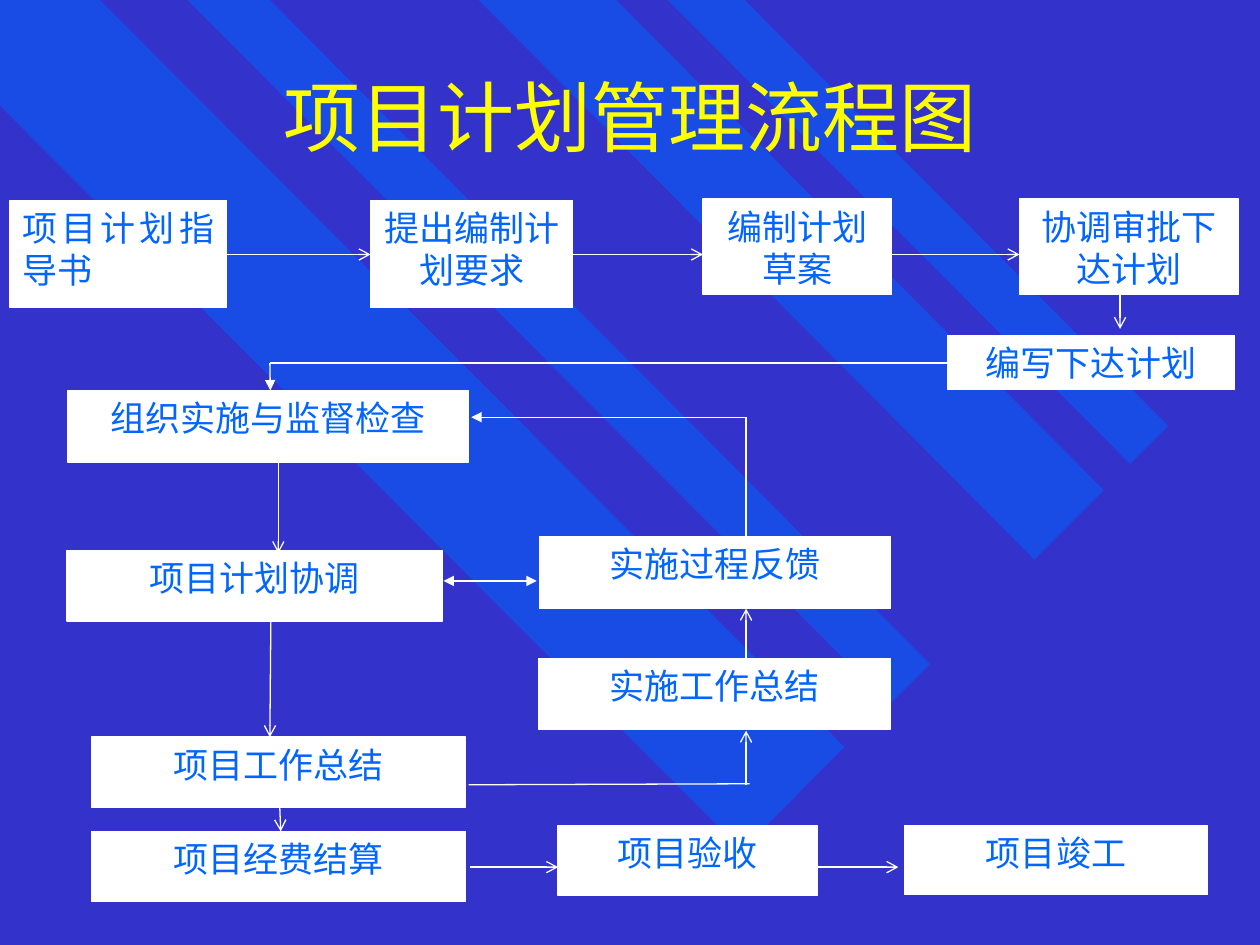
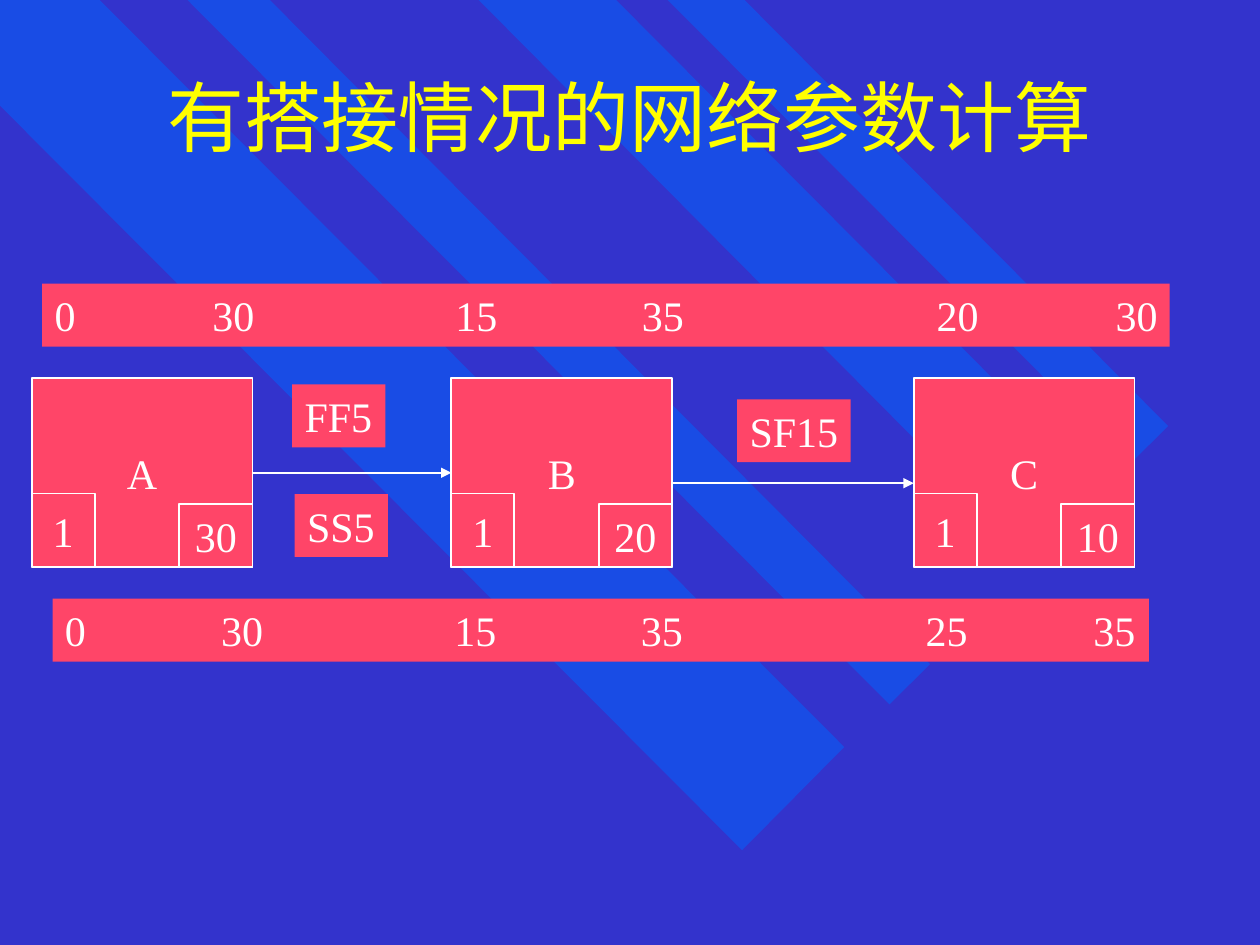
from lxml import etree
from pptx import Presentation
from pptx.dml.color import RGBColor
from pptx.enum.shapes import MSO_CONNECTOR, MSO_SHAPE
from pptx.enum.text import MSO_ANCHOR, PP_ALIGN
from pptx.oxml.ns import qn
from pptx.util import Cm, Pt

# Shared look
FONT = "Times New Roman"
NAVY, BLUE, YELLOW, WHITE, ROSE = "3333CC", "0066FF", "FFFF00", "FFFFFF", "FF4568"
STRIPES = [
    [(17.02, 15.06), (2.01, 0), (0, 0), (0, 2.13), (14.96, 17.14)],
    [(5.44, 0), (18.75, 13.39), (17.93, 14.2), (3.78, 0)],
    [(12.42, 0), (22.25, 9.88), (20.85, 11.28), (9.65, 0)],
    [(13.46, 0), (22.78, 9.35), (23.55, 8.59), (15.01, 0)],
]

# Flow chart: text, left, top, width, height
STEPS = [
    ("项目计划指导书", 0.2, 4.04, 4.37, 2.16),
    ("提出编制计划要求", 7.47, 4.04, 4.08, 2.16),
    ("编制计划草案", 14.17, 4.01, 3.81, 1.93),
    ("协调审批下达计划", 20.55, 4.01, 4.42, 1.93),
    ("编写下达计划", 19.1, 6.76, 5.79, 1.09),
    ("组织实施与监督检查", 1.37, 7.87, 8.08, 1.45),
    ("项目计划协调", 1.35, 11.1, 7.57, 1.42),
    ("实施过程反馈", 10.87, 10.82, 7.09, 1.45),
    ("实施工作总结", 10.85, 13.28, 7.11, 1.42),
    ("项目工作总结", 1.85, 14.86, 7.54, 1.42),
    ("项目经费结算", 1.85, 16.76, 7.54, 1.42),
    ("项目验收", 11.25, 16.64, 5.23, 1.42),
    ("项目竣工", 18.24, 16.64, 6.1, 1.4),
]

# Flow lines by arrowhead: start x, start y, end x, end y
FLOWS = {
    "arrow": [
        (4.57, 5.13, 7.47, 5.13), (11.56, 5.13, 14.17, 5.13),
        (17.93, 5.13, 20.55, 5.13), (22.58, 5.94, 22.58, 6.63),
        (5.61, 9.25, 5.61, 11.15), (5.46, 12.52, 5.44, 14.86),
        (5.64, 16.28, 5.66, 16.76), (9.47, 17.48, 11.25, 17.48),
        (16.48, 17.48, 18.11, 17.48), (15.04, 15.82, 15.04, 14.73),
        (15.04, 13.36, 15.04, 12.27),
    ],
    "triangle": [(5.44, 7.32, 5.45, 7.87), (15.04, 8.41, 9.5, 8.41)],
    None: [
        (19.1, 7.32, 5.44, 7.32), (9.45, 15.82, 15.11, 15.8),
        (15.04, 10.87, 15.04, 8.41),
    ],
}

# Network: name, left edge, duration
ACTIVITIES = [("A", 0.64, "30"), ("B", 9.1, "20"), ("C", 18.42, "10")]
NODE_TOP, NODE_WIDTH, NODE_HEIGHT = 7.62, 4.45, 3.81
LAGS = [
    ("FF5", 5.89, 7.75, 1.88),
    ("SF15", 14.86, 8.05, 2.29),
    ("SS5", 5.94, 9.96, 1.88),
]
# Start and finish times: values, left, top, width, tab stops
TIME_BARS = [
    (["0", "30", "15", "35", "20", "30"], 0.85, 5.72, 22.73,
     [3.18, 8.08, 11.84, 17.78, 21.39]),
    (["0", "30", "15", "35", "25", "35"], 1.06, 12.07, 22.1,
     [3.15, 7.85, 11.61, 17.35, 20.73]),
]


def color(hex_code):
    return RGBColor.from_string(hex_code)


def write(shape, text, size, ink, align, anchor, wrap=True, tabs=()):
    frame = shape.text_frame
    frame.word_wrap = wrap
    frame.vertical_anchor = anchor
    frame.text = text
    paragraph = frame.paragraphs[0]
    paragraph.alignment = align
    if tabs:
        stops = etree.SubElement(paragraph._p.get_or_add_pPr(), qn("a:tabLst"))
        for stop in tabs:
            etree.SubElement(stops, qn("a:tab"), pos=str(Cm(stop)), algn="l")
    for run in paragraph.runs:
        run.font.size = Pt(size)
        run.font.name = FONT
        run.font.color.rgb = color(ink)


def add_box(slide, left, top, width, height, fill, outline=None):
    """Draw a flat rectangle; outline is its white line width in points."""
    box = slide.shapes.add_shape(
        MSO_SHAPE.RECTANGLE, Cm(left), Cm(top), Cm(width), Cm(height))
    box.shadow.inherit = False
    box.fill.solid()
    box.fill.fore_color.rgb = color(fill)
    if outline:
        box.line.color.rgb = color(WHITE)
        box.line.width = Pt(outline)
    else:
        box.line.fill.background()
    return box


def add_flow(slide, x1, y1, x2, y2, head=None, tail=None, width=0.75):
    """Draw a white line, with head at its end and tail at its start."""
    flow = slide.shapes.add_connector(
        MSO_CONNECTOR.STRAIGHT, Cm(x1), Cm(y1), Cm(x2), Cm(y2))
    flow.line.color.rgb = color(WHITE)
    flow.line.width = Pt(width)
    outline = flow.line._get_or_add_ln()
    for tag, kind in (("a:headEnd", tail), ("a:tailEnd", head)):
        if kind:
            etree.SubElement(outline, qn(tag), type=kind)
    etree.SubElement(flow._element.spPr, qn("a:effectLst"))


def add_stripe(slide, points):
    corners = [(Cm(x), Cm(y)) for x, y in points]
    builder = slide.shapes.build_freeform(*corners[0])
    builder.add_line_segments(corners[1:])
    stripe = builder.convert_to_shape()
    stripe.shadow.inherit = False
    stripe.fill.solid()
    stripe.fill.fore_color.rgb = color(BLUE)
    tint = stripe._element.spPr.find(".//" + qn("a:srgbClr"))
    etree.SubElement(tint, qn("a:alpha"), val="50000")
    stripe.line.fill.background()


def add_page(prs, heading):
    slide = prs.slides.add_slide(prs.slide_layouts[6])
    for points in STRIPES:
        add_stripe(slide, points)
    title = slide.shapes.add_textbox(Cm(1.9), Cm(0.64), Cm(21.6), Cm(3.38))
    write(title, heading, 44, YELLOW, PP_ALIGN.CENTER, MSO_ANCHOR.MIDDLE)
    return slide


def add_step(slide, text, *place, align=PP_ALIGN.CENTER):
    step = add_box(slide, *place, WHITE, 0.75)
    write(step, text, 20, BLUE, align, MSO_ANCHOR.TOP)


def add_activity(slide, name, left, duration):
    bottom = NODE_TOP + NODE_HEIGHT
    long, short = 1.48, 1.27
    parts = [
        (name, left, NODE_WIDTH, NODE_HEIGHT),
        ("1", left, short, long),
        (duration, left + NODE_WIDTH - long, long, short),
    ]
    for text, x, width, height in parts:
        cell = add_box(slide, x, bottom - height, width, height, ROSE, 1)
        write(cell, text, 24, WHITE, PP_ALIGN.CENTER, MSO_ANCHOR.MIDDLE, wrap=False)


def add_label(slide, text, left, top, width, tabs=()):
    label = add_box(slide, left, top, width, 1.27, ROSE)
    if tabs:
        label.text_frame.margin_right = 0
    write(label, text, 24, WHITE, PP_ALIGN.LEFT, MSO_ANCHOR.TOP,
          wrap=bool(tabs), tabs=tabs)


def build_flow_chart(prs):
    slide = add_page(prs, "项目计划管理流程图")
    add_step(slide, *STEPS[0], align=PP_ALIGN.JUSTIFY)
    for step in STEPS[1:]:
        add_step(slide, *step)
    for head, routes in FLOWS.items():
        for route in routes:
            add_flow(slide, *route, head=head)
    add_flow(slide, 10.82, 11.71, 8.94, 11.71, head="triangle", tail="triangle")


def build_network(prs):
    slide = add_page(prs, "有搭接情况的网络参数计算")
    for activity in ACTIVITIES:
        add_activity(slide, *activity)
    # Links run from the right edge of one activity to the next
    for (_, left, _), (_, following, _), y in zip(
            ACTIVITIES, ACTIVITIES[1:], (9.53, 9.74)):
        add_flow(slide, left + NODE_WIDTH, y, following, y, head="triangle", width=1)
    for lag in LAGS:
        add_label(slide, *lag)
    for times, left, top, width, tabs in TIME_BARS:
        add_label(slide, "\t".join(times), left, top, width, tabs)


def main():
    prs = Presentation()
    prs.slide_width, prs.slide_height = Cm(25.4), Cm(19.05)
    backdrop = prs.slide_master.background.fill
    backdrop.solid()
    backdrop.fore_color.rgb = color(NAVY)
    build_flow_chart(prs)
    build_network(prs)
    prs.save("out.pptx")


if __name__ == "__main__":
    main()
